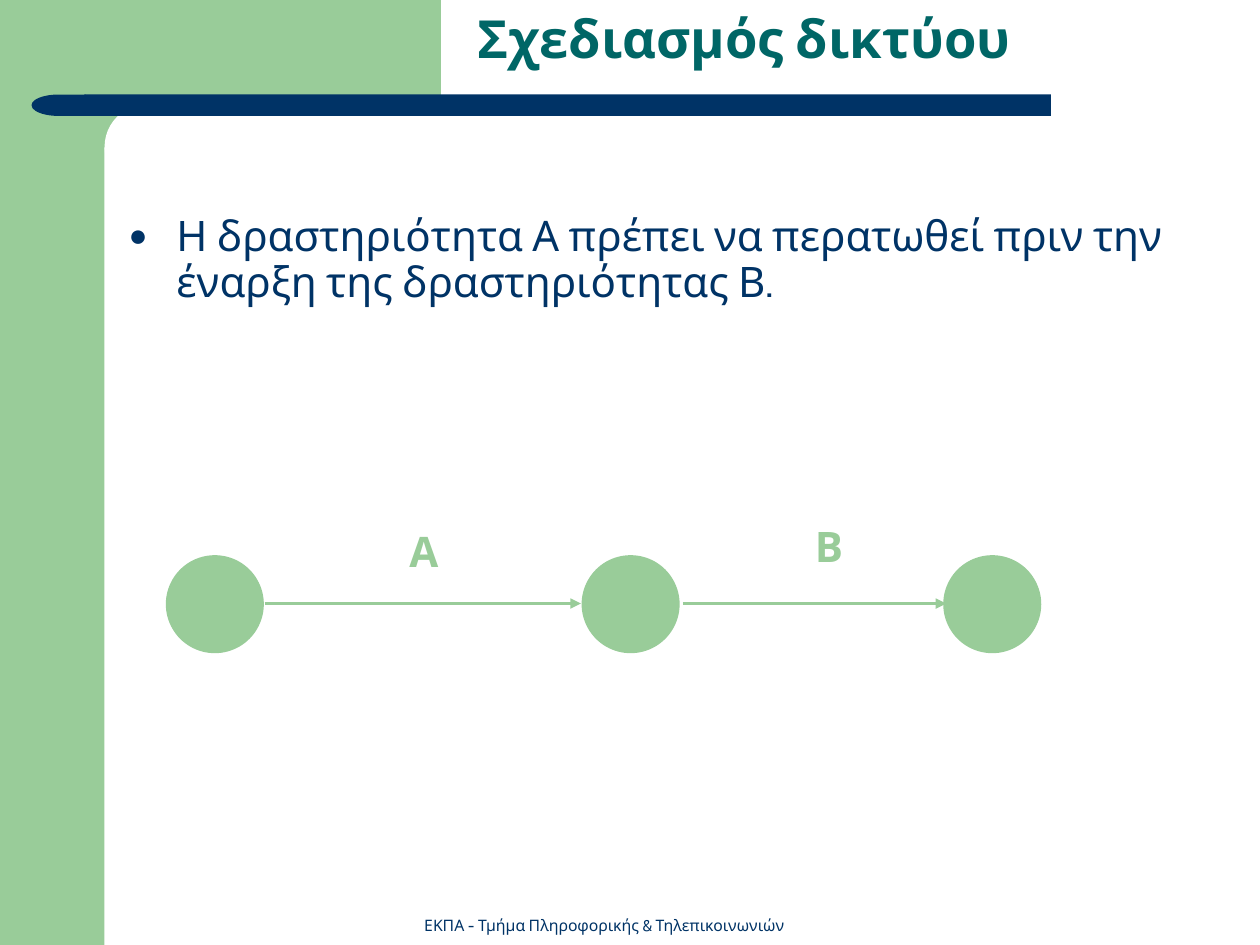
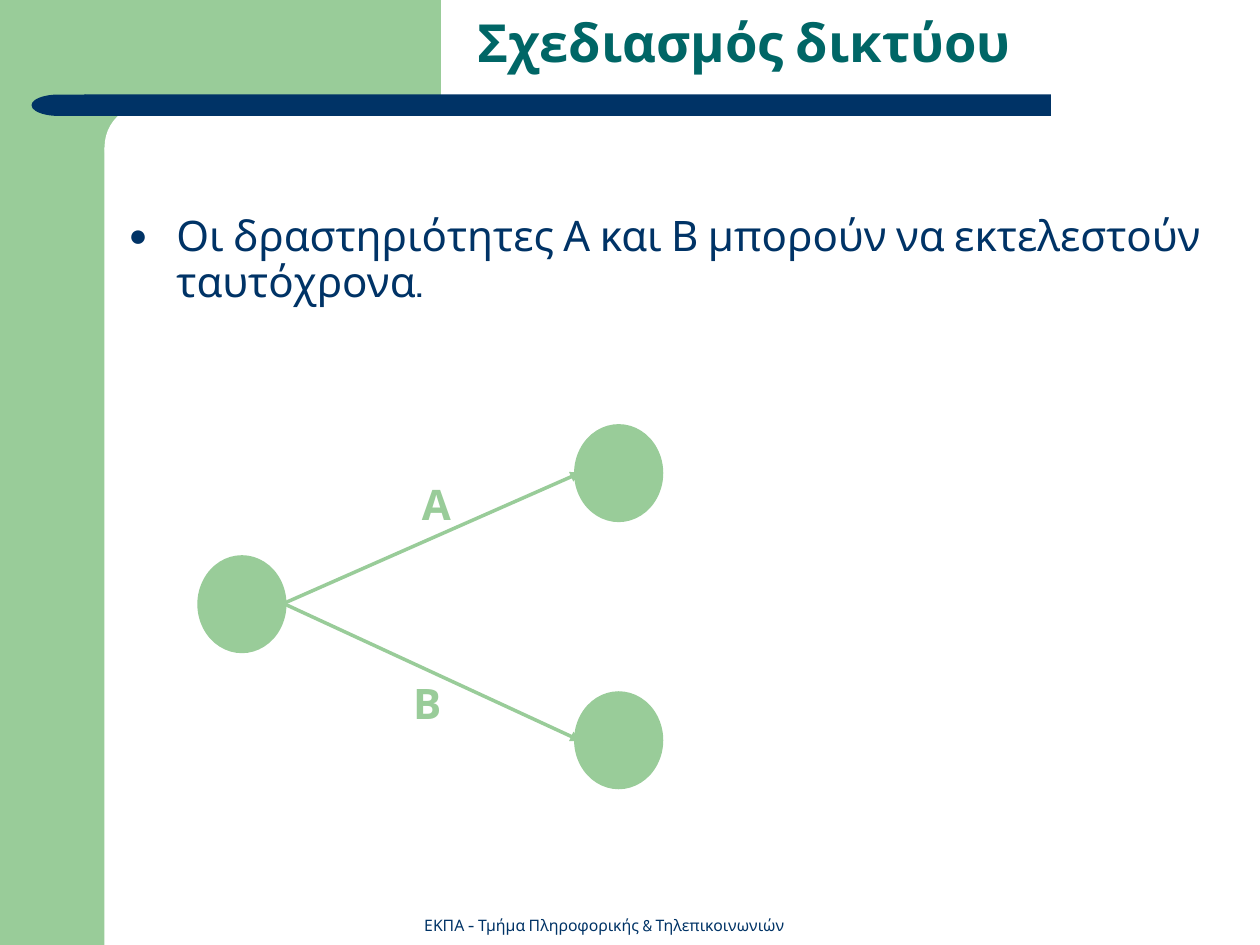
"""Builds two slides on network planning: sequential and parallel activities."""
from dataclasses import dataclass

from lxml import etree
from pptx import Presentation
from pptx.dml.color import RGBColor
from pptx.enum.shapes import MSO_CONNECTOR, MSO_SHAPE as SHAPE
from pptx.enum.text import MSO_ANCHOR as ANCHOR, MSO_AUTO_SIZE as FIT, PP_ALIGN as ALIGN
from pptx.oxml.ns import qn
from pptx.util import Inches, Pt


@dataclass(frozen=True)
class Theme:
    green: str = "99CC99"
    navy: str = "003366"
    teal: str = "006666"
    white: str = "FFFFFF"
    font: str = "Cabin"
    title_size: int = 30
    text_size: int = 24
    footer_size: int = 9
    line_width: int = 2


THEME = Theme()
TITLE = "Σχεδιασμός δικτύου"
FOOTER = "ΕΚΠΑ - Τμήμα Πληροφορικής & Τηλεπικοινωνιών"
FOOTER_BOX = (3.21, 7.22, 3.17, 0.25)
BODY_BOX = (0.92, 1.66, 8.83, 5.42)
INDENT = 0.38

FRAME = [
    (SHAPE.RECTANGLE, (0, 0, 0.83, 7.5), THEME.green, 0),
    (SHAPE.RECTANGLE, (0.75, 0, 2.75, 1.17), THEME.green, 0),
    (SHAPE.ROUNDED_RECTANGLE, (0.83, 0.83, 5.58, 0.67), THEME.white, 0),
    (SHAPE.RECTANGLE, (0.67, 0.75, 7.67, 0.17), THEME.navy, 0),
    (SHAPE.FLOWCHART_DELAY, (0.25, 0.75, 0.43, 0.17), THEME.navy, 180),
]

SLIDES = [
    {
        "title_top": 0,
        "text": "Η δραστηριότητα Α πρέπει να περατωθεί πριν την έναρξη της δραστηριότητας Β.",
        "node_size": (0.75, 0.75),
        "nodes": [(1.33, 4.42), (4.63, 4.42), (7.5, 4.42)],
        "arrows": [((2.1, 4.79), (4.61, 4.79)), ((5.42, 4.79), (7.51, 4.79))],
        "labels": [("Α", 3.15, 4.12), ("Β", 6.37, 4.08)],
    },
    {
        "title_top": 0.03,
        "text": "Οι δραστηριότητες Α και Β μπορούν να εκτελεστούν ταυτόχρονα.",
        "node_size": (0.68, 0.75),
        "nodes": [(1.58, 4.42), (4.57, 3.38), (4.57, 5.5)],
        "arrows": [((2.25, 4.79), (4.61, 3.75)), ((2.25, 4.79), (4.61, 5.88))],
        "labels": [("Α", 3.25, 3.75), ("Β", 3.18, 5.33)],
    },
]


def rgb(color):
    return RGBColor.from_string(color)


def place(shape, box):
    shape.left, shape.top, shape.width, shape.height = map(Inches, box)


def write(shape, text, size, color, bold=False, align=ALIGN.LEFT, anchor=ANCHOR.TOP, wrap=True):
    frame = shape.text_frame
    frame.word_wrap = wrap
    frame.auto_size = FIT.NONE
    frame.vertical_anchor = anchor
    para = frame.paragraphs[0]
    para.alignment = align
    para.space_before = Pt(0)
    span = para.add_run()
    span.text = text
    span.font.name = THEME.font
    span.font.size = Pt(size)
    span.font.bold = bold
    span.font.color.rgb = rgb(color)
    return para


def add_filled(page, kind, box, color):
    shape = page.shapes.add_shape(kind, *map(Inches, box))
    shape.shadow.inherit = False
    shape.fill.solid()
    shape.fill.fore_color.rgb = rgb(color)
    shape.line.fill.background()
    return shape


def add_frame(page):
    for order, (kind, box, color, turn) in enumerate(FRAME):
        shape = add_filled(page, kind, box, color)
        shape.rotation = turn
        if kind == SHAPE.ROUNDED_RECTANGLE:
            shape.adjustments[0] = 0.5
        page.shapes.element.insert(2 + order, shape.element)
    footer = page.shapes.add_textbox(*map(Inches, FOOTER_BOX))
    write(footer, FOOTER, THEME.footer_size, THEME.navy, align=ALIGN.CENTER,
          anchor=ANCHOR.BOTTOM, wrap=False)


def add_bullet(para):
    props = para._p.get_or_add_pPr()
    props.set("marL", str(Inches(INDENT)))
    props.set("indent", str(-Inches(INDENT)))
    color = etree.SubElement(props, qn("a:buClr"))
    etree.SubElement(color, qn("a:srgbClr"), val=THEME.navy)
    etree.SubElement(props, qn("a:buSzPct"), val="75000")
    etree.SubElement(props, qn("a:buChar"), char="●")


def add_arrow(page, start, end):
    arrow = page.shapes.add_connector(MSO_CONNECTOR.STRAIGHT, *map(Inches, start + end))
    arrow.line.color.rgb = rgb(THEME.green)
    arrow.line.width = Pt(THEME.line_width)
    etree.SubElement(arrow.line._get_or_add_ln(), qn("a:tailEnd"), type="triangle")
    etree.SubElement(arrow.element.spPr, qn("a:effectLst"))


def add_network(page, content):
    for corner in content["nodes"]:
        node = add_filled(page, SHAPE.OVAL, corner + content["node_size"], THEME.green)
        node.line.color.rgb = rgb(THEME.green)
        node.line.width = Pt(THEME.line_width)
    for start, end in content["arrows"]:
        add_arrow(page, start, end)
    for text, left, top in content["labels"]:
        label = page.shapes.add_textbox(*map(Inches, (left, top, 0.43, 0.5)))
        write(label, text, THEME.text_size, THEME.green, bold=True, wrap=False)


def add_page(deck, content):
    page = deck.slides.add_slide(deck.slide_layouts[1])
    add_frame(page)
    title, body = page.shapes.title, page.placeholders[1]
    place(title, (3.69, content["title_top"], 6.31, 0.6))
    write(title, TITLE, THEME.title_size, THEME.teal, bold=True)
    place(body, BODY_BOX)
    para = write(body, content["text"], THEME.text_size, THEME.navy)
    para.line_spacing = 0.9
    add_bullet(para)
    add_network(page, content)


def main():
    deck = Presentation()
    deck.slide_width, deck.slide_height = Inches(10), Inches(7.5)
    for content in SLIDES:
        add_page(deck, content)
    deck.save("out.pptx")


if __name__ == "__main__":
    main()
